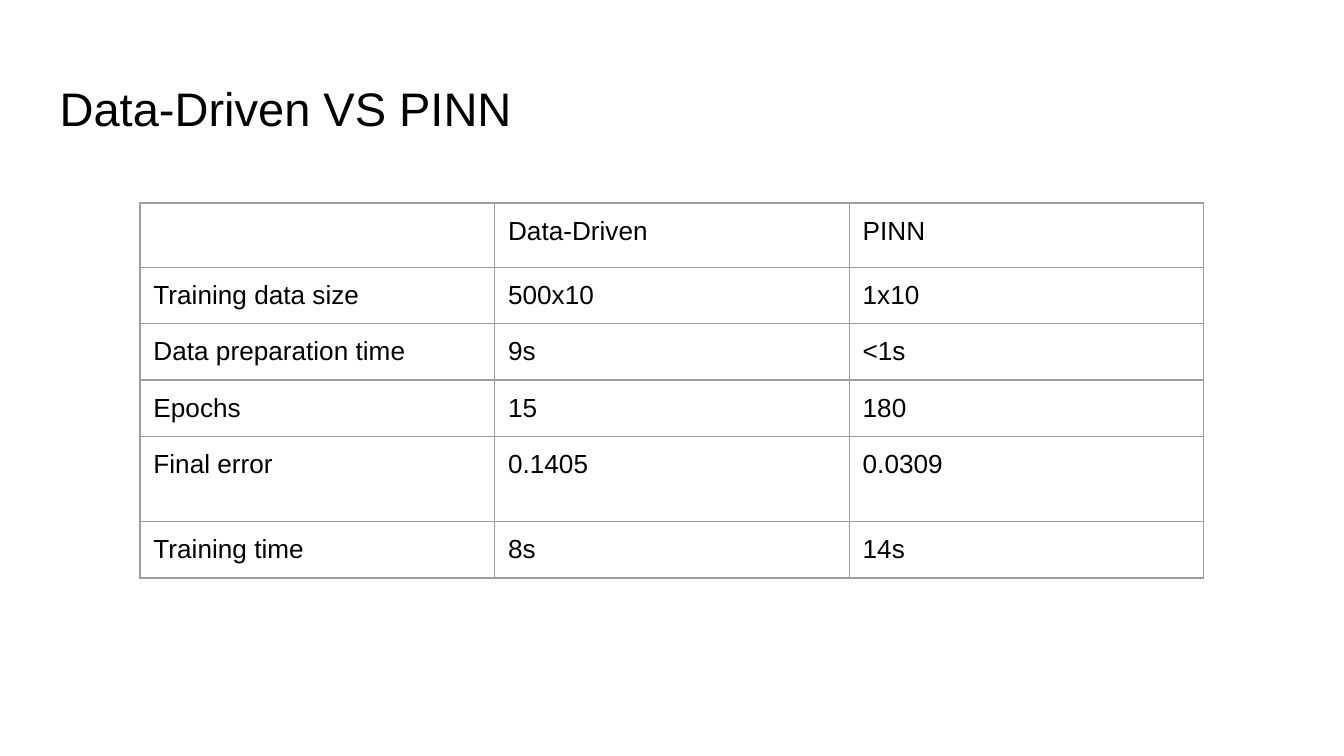
import pptx
import pptx.dml.color
import pptx.enum.text
import pptx.oxml
import pptx.oxml.ns
import pptx.util

PX = 9525
INK = "000000"
GRID = "9E9E9E"
INSET = pptx.util.Inches(0.1)
MARGINS = {
    "margin_left": INSET,
    "margin_right": INSET,
    "margin_top": INSET,
    "margin_bottom": INSET,
}
HEADER = ["", "Data-Driven", "PINN"]
COMPARISON = [
    ["Training data size", "500x10", "1x10"],
    ["Data preparation time", "9s", "<1s"],
    ["Epochs", "15", "180"],
    ["Final error", "0.1405", "0.0309"],
    ["Training time", "8s", "14s"],
]
ROW_HEIGHTS = [46, 40, 40, 40, 61, 40]


def rgb(value):
    return pptx.dml.color.RGBColor.from_string(value)


def apply_format(target, values):
    for name, value in values.items():
        setattr(target, name, value)


def write_text(text_frame, text, size):
    paragraph = text_frame.paragraphs[0]
    paragraph.alignment = pptx.enum.text.PP_ALIGN.LEFT
    if not text:
        paragraph._p.get_or_add_endParaRPr().set("sz", str(size * 100))
        return
    run = paragraph.add_run()
    run.text = text
    apply_format(run.font, {"name": "Arial", "size": pptx.util.Pt(size)})
    run.font.color.rgb = rgb(INK)


def add_borders(cell):
    properties = cell._tc.get_or_add_tcPr()
    namespace = pptx.oxml.ns.nsdecls("a")
    for index, side in enumerate(("lnL", "lnR", "lnT", "lnB")):
        line = pptx.oxml.parse_xml(
            f'<a:{side} {namespace} w="{pptx.util.Pt(0.75)}"><a:solidFill>'
            f'<a:srgbClr val="{GRID}"/></a:solidFill></a:{side}>'
        )
        properties.insert(index, line)


def add_title(slide, left, top, width, height):
    title = slide.shapes.title
    box = {"left": left, "top": top, "width": width, "height": height}
    apply_format(title, {name: value * PX for name, value in box.items()})
    apply_format(title.text_frame, MARGINS)
    apply_format(title.text_frame, {
        "word_wrap": True,
        "auto_size": pptx.enum.text.MSO_AUTO_SIZE.NONE,
        "vertical_anchor": pptx.enum.text.MSO_ANCHOR.MIDDLE,
    })
    write_text(title.text_frame, "Data-Driven VS PINN", 25.2)


def add_comparison_table(slide, left, top, width):
    rows = [HEADER] + COMPARISON
    box = [value * PX for value in (left, top, width, sum(ROW_HEIGHTS))]
    table = slide.shapes.add_table(len(rows), len(HEADER), *box).table
    apply_format(table, {"first_row": False, "horz_banding": False})
    for row, height in zip(table.rows, ROW_HEIGHTS):
        row.height = height * PX
    for row_index, texts in enumerate(rows):
        for column_index, text in enumerate(texts):
            cell = table.cell(row_index, column_index)
            apply_format(cell, MARGINS)
            cell.vertical_anchor = pptx.enum.text.MSO_ANCHOR.TOP
            cell.fill.background()
            add_borders(cell)
            write_text(cell.text_frame, text, 14)


def main():
    presentation = pptx.Presentation()
    apply_format(presentation, {"slide_width": 960 * PX, "slide_height": 540 * PX})
    slide = presentation.slides.add_slide(presentation.slide_layouts[5])
    slide.background.fill.solid()
    slide.background.fill.fore_color.rgb = rgb("FFFFFF")
    add_title(slide, 33, 47, 895, 60)
    add_comparison_table(slide, 100, 145, 760)
    presentation.save("out.pptx")


if __name__ == "__main__":
    main()
